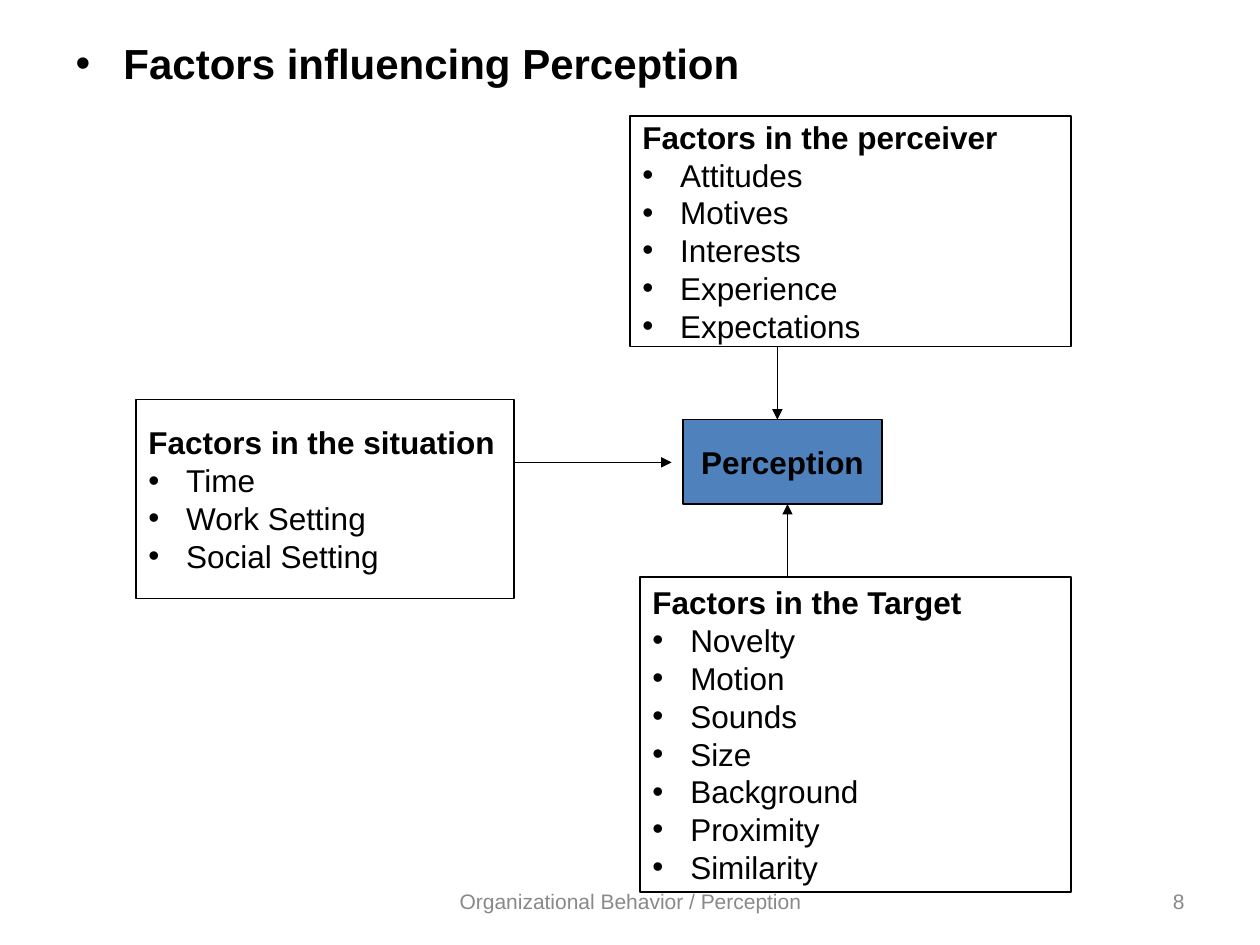
from typing import NamedTuple

from pptx import Presentation
from pptx.dml.color import RGBColor
from pptx.enum.shapes import MSO_CONNECTOR as Connector, MSO_SHAPE as Shape
from pptx.enum.text import MSO_ANCHOR as Anchor, MSO_AUTO_SIZE as AutoSize, PP_ALIGN as Align
from pptx.oxml.ns import qn
from pptx.util import Inches, Pt
from lxml.etree import SubElement

BLACK = RGBColor(0, 0, 0)
WHITE = RGBColor(255, 255, 255)
BLUE = RGBColor(0x4F, 0x81, 0xBD)
GRAY = RGBColor(0x89, 0x89, 0x89)
LINE_WIDTH = Pt(0.75)

HEADING = {"size": Pt(24), "bold": True}
BOX_HEADING = {"size": Pt(18), "bold": True}
ITEM = {"size": Pt(18), "bold": False}
FOOTER = {"size": Pt(12), "bold": False}


class Area(NamedTuple):
    left: float
    top: float
    width: float
    height: float


class FactorBox(NamedTuple):
    area: Area
    heading: str
    items: tuple[str, ...] = ()
    fill: RGBColor = WHITE
    align: Align = Align.LEFT


class Arrow(NamedTuple):
    start: tuple[float, float]
    end: tuple[float, float]


class Footer(NamedTuple):
    area: Area
    text: str
    align: Align


BOXES = (
    FactorBox(Area(5, 0.92, 3.5, 1.83), "Factors in the perceiver",
              ("Attitudes", "Motives", "Interests", "Experience", "Expectations")),
    FactorBox(Area(5.42, 3.33, 1.58, 0.67), "Perception", fill=BLUE, align=Align.CENTER),
    FactorBox(Area(5.08, 4.58, 3.42, 2.5), "Factors in the Target",
              ("Novelty", "Motion", "Sounds", "Size", "Background", "Proximity", "Similarity")),
    FactorBox(Area(1.08, 3.17, 3, 1.58), "Factors in the situation",
              ("Time", "Work Setting", "Social Setting")),
)
ARROWS = (
    Arrow((4.08, 3.67), (5.33, 3.67)),
    Arrow((6.25, 4.58), (6.25, 4)),
    Arrow((6.17, 2.75), (6.17, 3.33)),
)
FOOTERS = (
    Footer(Area(3.42, 6.95, 3.17, 0.4), "Organizational Behavior / Perception", Align.CENTER),
    Footer(Area(7.17, 6.95, 2.33, 0.4), "8", Align.RIGHT),
)


def inches(values: tuple[float, ...]) -> list[int]:
    return [Inches(value) for value in values]


def set_values(target, values: dict) -> None:
    for name, value in values.items():
        setattr(target, name, value)


def write(para, text: str, style: dict, color: RGBColor = BLACK, align: Align = Align.LEFT) -> None:
    para.alignment = align
    span = para.add_run()
    span.text = text
    set_values(span.font, {"name": "Arial", **style})
    span.font.color.rgb = color


def add_bullet(para, indent: float) -> None:
    properties = para._p.get_or_add_pPr()
    properties.set("marL", str(Inches(indent)))
    properties.set("indent", str(-Inches(indent)))
    SubElement(properties, qn("a:buFont")).set("typeface", "Arial")
    SubElement(properties, qn("a:buChar")).set("char", "•")


def fill_heading(page) -> None:
    title, body = page.placeholders
    title.element.getparent().remove(title.element)
    sides = ("left", "top", "width", "height")
    set_values(body, dict(zip(sides, inches(Area(0.5, 0.25, 9, 7)))))
    body.text_frame.auto_size = AutoSize.NONE
    para = body.text_frame.paragraphs[0]
    para.space_before = Pt(6)
    write(para, "Factors influencing Perception", HEADING)
    add_bullet(para, 0.38)


def add_footer(page, footer: Footer) -> None:
    frame = page.shapes.add_textbox(*inches(footer.area)).text_frame
    set_values(frame, {"word_wrap": True, "vertical_anchor": Anchor.MIDDLE})
    write(frame.paragraphs[0], footer.text, FOOTER, GRAY, footer.align)


def add_factor_box(page, factor: FactorBox) -> None:
    box = page.shapes.add_shape(Shape.RECTANGLE, *inches(factor.area))
    box.shadow.inherit = False
    box.fill.solid()
    box.fill.fore_color.rgb = factor.fill
    box.line.color.rgb = BLACK
    box.line.width = LINE_WIDTH
    frame = box.text_frame
    set_values(frame, {"word_wrap": True, "vertical_anchor": Anchor.MIDDLE})
    write(frame.paragraphs[0], factor.heading, BOX_HEADING, align=factor.align)
    for item in factor.items:
        para = frame.add_paragraph()
        write(para, item, ITEM)
        add_bullet(para, 0.3)


def add_arrow(page, arrow: Arrow) -> None:
    line = page.shapes.add_connector(Connector.STRAIGHT, *inches(arrow.start + arrow.end))
    line.line.color.rgb = BLACK
    line.line.width = LINE_WIDTH
    SubElement(line.line._get_or_add_ln(), qn("a:tailEnd")).set("type", "triangle")
    SubElement(line._element.spPr, qn("a:effectLst"))


def main() -> None:
    deck = Presentation()
    set_values(deck, {"slide_width": Inches(10), "slide_height": Inches(7.5)})
    page = deck.slides.add_slide(deck.slide_layouts[1])
    fill_heading(page)
    for footer in FOOTERS:
        add_footer(page, footer)
    for factor in BOXES:
        add_factor_box(page, factor)
    for arrow in ARROWS:
        add_arrow(page, arrow)
    deck.save("out.pptx")


if __name__ == "__main__":
    main()
